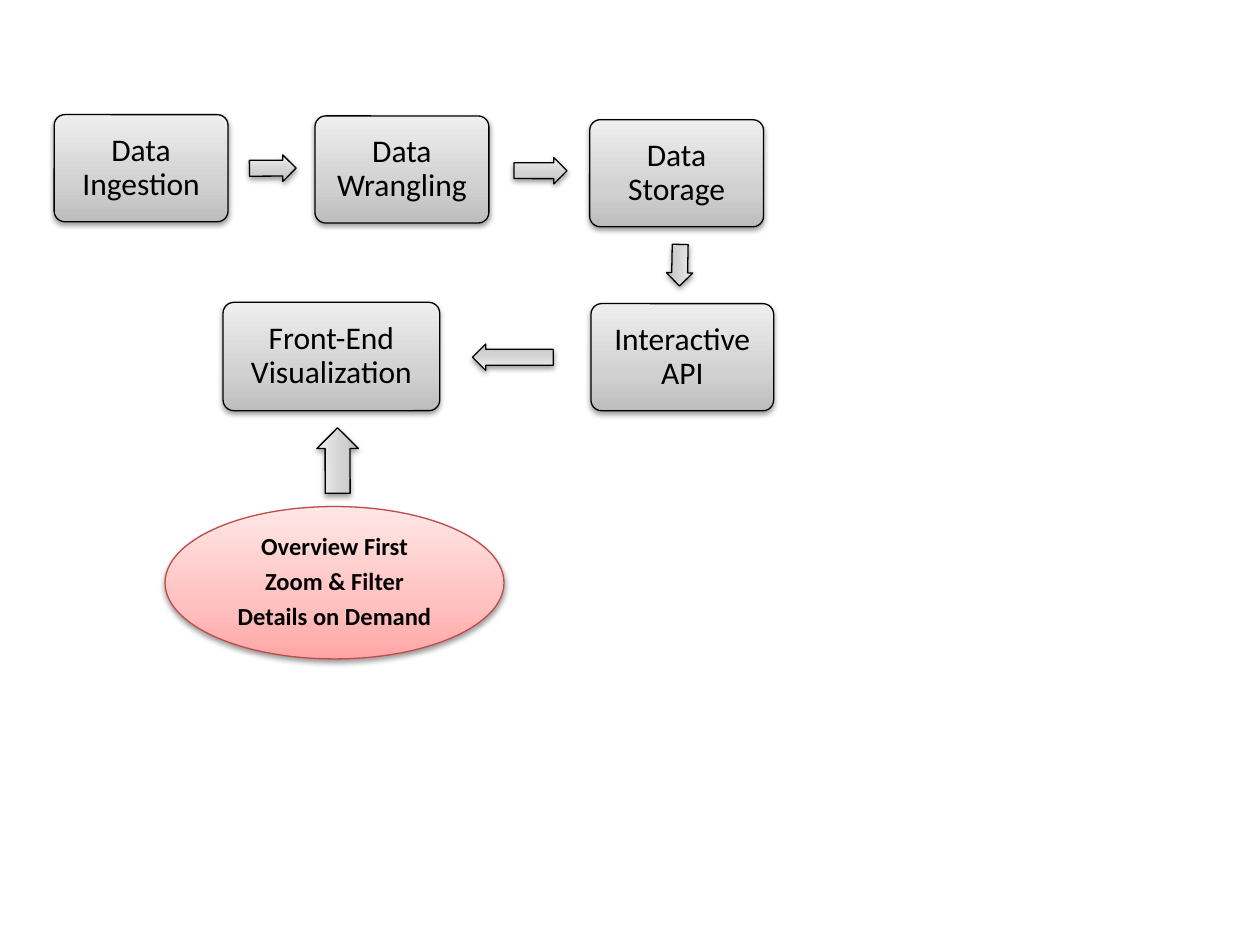
import copy

import pptx
import pptx.dml.color
import pptx.enum.shapes
import pptx.enum.text
import pptx.oxml
import pptx.oxml.ns
import pptx.util

Inches, Pt = pptx.util.Inches, pptx.util.Pt
MSO = pptx.enum.shapes.MSO_SHAPE

GREY = ("BDBDBD", "D1D1D1", "EEEEEE")
ROSE = ("FFA6A5", "FFC0BF", "FFE7E7")
SHADOW = (
    '<a:outerShdw %s blurRad="40000" dist="20000" dir="5400000" rotWithShape="0">'
    '<a:srgbClr val="000000"><a:alpha val="38000"/></a:srgbClr></a:outerShdw>'
    % pptx.oxml.ns.nsdecls("a")
)


def rgb(value):
    """Turn a hex string into a colour."""
    return pptx.dml.color.RGBColor.from_string(value)


def set_all(target, values):
    """Set every attribute named in a dict."""
    for name, value in values.items():
        setattr(target, name, value)


class Flow:
    """Style and current slide of a process diagram."""

    stops = (0, 0.35, 1)
    paragraph = {"alignment": pptx.enum.text.PP_ALIGN.CENTER, "line_spacing": 0.9}

    def __init__(self, slide):
        """Keep the slide to draw on."""
        self.slide = slide

    def shape(self, kind, at, colours=GREY, line="000000"):
        """Add a preset shape with gradient, outline and soft shadow."""
        s = self.slide.shapes.add_shape(kind, *map(Inches, at))
        s.fill.gradient()
        s.fill.gradient_angle = 90
        first = s.fill.gradient_stops[0]
        gs = s.element.spPr.find(".//" + pptx.oxml.ns.qn("a:gs"))
        gs.addnext(copy.deepcopy(gs))
        for first, colour, position in zip(s.fill.gradient_stops, colours, self.stops):
            first.color.rgb = rgb(colour)
            first.position = position
        s.line.color.rgb = rgb(line)
        s.line.width = Pt(0.75)
        s.shadow.inherit = False
        effects = s.element.spPr.find(pptx.oxml.ns.qn("a:effectLst"))
        effects.append(pptx.oxml.parse_xml(SHADOW))
        return s

    def text(self, s, lines, size, inset, bold=False):
        """Write centred paragraphs into a shape."""
        tf = s.text_frame
        margins = ("margin_left", "margin_right", "margin_top", "margin_bottom")
        set_all(tf, dict.fromkeys(margins, Inches(inset)))
        set_all(tf, {"word_wrap": True,
                     "vertical_anchor": pptx.enum.text.MSO_ANCHOR.MIDDLE})
        for i, line in enumerate(lines):
            p = tf.add_paragraph() if i else tf.paragraphs[0]
            set_all(p, self.paragraph)
            p.space_after = Pt(0.35 * size)
            r = p.add_run()
            r.text = line
            set_all(r.font, {"name": "Calibri", "size": Pt(size), "bold": bold})
            r.font.color.rgb = rgb("000000")

    def step(self, label, *at):
        """Add a rounded box with a label."""
        s = self.shape(MSO.ROUNDED_RECTANGLE, at)
        s.adjustments[0] = 0.1
        self.text(s, [label], 18, 0.07)

    def arrow(self, rotation, *at):
        """Add a block arrow turned by some degrees."""
        s = self.shape(MSO.RIGHT_ARROW, at)
        s.adjustments[0], s.adjustments[1] = 0.6, 0.5
        s.rotation = rotation

    def goals(self, lines, *at):
        """Add the ellipse that lists the design goals."""
        s = self.shape(MSO.OVAL, at, ROSE, "BF4C48")
        self.text(s, lines, 14, 0.06, True)


prs = pptx.Presentation()
prs.slide_width, prs.slide_height = Inches(10), Inches(7.5)
flow = Flow(prs.slides.add_slide(prs.slide_layouts[6]))

for step in (
    ("Data Ingestion", 0.43, 0.91, 1.38, 0.85),
    ("Data Wrangling", 2.5, 0.92, 1.38, 0.85),
    ("Data Storage", 4.68, 0.95, 1.38, 0.85),
    ("Interactive API", 4.69, 2.41, 1.45, 0.85),
    ("Front-End Visualization", 1.77, 2.4, 1.72, 0.86),
):
    flow.step(*step)

for arrow in (
    (359.8, 1.98, 1.23, 0.37, 0.21),
    (0.1, 4.08, 1.25, 0.42, 0.21),
    (91.1, 5.23, 2, 0.33, 0.21),
    (180, 3.75, 2.73, 0.64, 0.21),
    (269.9, 2.42, 3.49, 0.52, 0.33),
):
    flow.arrow(*arrow)

flow.goals(["Overview First", "Zoom & Filter", "Details on Demand"],
           1.31, 4.02, 2.69, 1.21)

prs.save("out.pptx")
